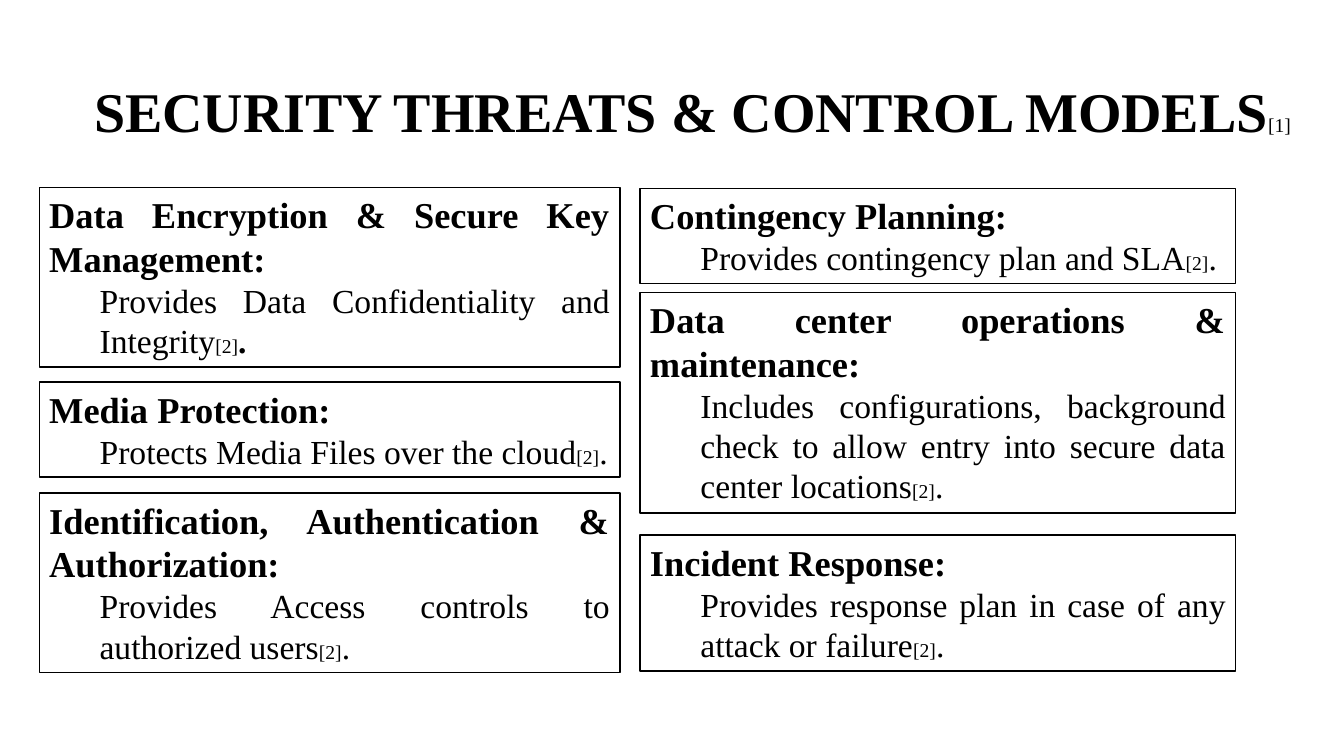
from dataclasses import dataclass

import pptx
import pptx.dml.color
import pptx.enum.shapes
import pptx.enum.text
import pptx.shapes.base
import pptx.slide
import pptx.text.text
import pptx.util

BLACK = pptx.dml.color.RGBColor(0x00, 0x00, 0x00)
WHITE = pptx.dml.color.RGBColor(0xFF, 0xFF, 0xFF)
FONT_NAME = "Times New Roman"
TITLE_SIZE, HEADING_SIZE, DETAIL_SIZE, CITATION_SIZE = 40, 26, 24, 14
DETAIL_INDENT = 36


@dataclass(frozen=True)
class Column:
    left: float
    width: float


@dataclass(frozen=True)
class Control:
    column: Column
    top: float
    height: float
    heading: str
    detail: str
    bold_stop: bool = False


LEFT = Column(28.1, 414.7)
RIGHT = Column(457.2, 425.5)

CONTROLS = [
    Control(LEFT, 133.9, 128.2, "Data Encryption & Secure Key Management:",
            "Provides Data Confidentiality and Integrity", bold_stop=True),
    Control(LEFT, 272.9, 67.9, "Media Protection:",
            "Protects Media Files over the cloud"),
    Control(LEFT, 352.1, 128.2, "Identification, Authentication & Authorization:",
            "Provides Access controls to authorized users"),
    Control(RIGHT, 134.6, 67.9, "Contingency Planning:",
            "Provides contingency plan and SLA"),
    Control(RIGHT, 208.8, 157.7, "Data center operations & maintenance:",
            "Includes configurations, background check to allow entry "
            "into secure data center locations"),
    Control(RIGHT, 382.3, 97.0, "Incident Response:",
            "Provides response plan in case of any attack or failure"),
]


def place(shape: pptx.shapes.base.BaseShape, left: float, top: float,
          width: float, height: float) -> None:
    shape.left, shape.top = pptx.util.Pt(left), pptx.util.Pt(top)
    shape.width, shape.height = pptx.util.Pt(width), pptx.util.Pt(height)


def format_paragraph(paragraph: pptx.text.text._Paragraph,
                     alignment: pptx.enum.text.PP_ALIGN) -> None:
    paragraph.alignment = alignment
    paragraph.font.name = FONT_NAME
    paragraph.font.color.rgb = BLACK


def add_run(paragraph: pptx.text.text._Paragraph, text: str, size: float,
            bold: bool = False) -> None:
    run = paragraph.add_run()
    run.text = text
    run.font.name = FONT_NAME
    run.font.color.rgb = BLACK
    run.font.size = pptx.util.Pt(size)
    run.font.bold = bold


def fill_title(slide: pptx.slide.Slide) -> None:
    title = slide.shapes.title
    place(title, 52.6, 29.5, 884.2, 104.4)
    title.text_frame.vertical_anchor = pptx.enum.text.MSO_ANCHOR.MIDDLE
    title.text_frame.auto_size = pptx.enum.text.MSO_AUTO_SIZE.NONE
    paragraph = title.text_frame.paragraphs[0]
    format_paragraph(paragraph, pptx.enum.text.PP_ALIGN.CENTER)
    paragraph.line_spacing = 0.9
    add_run(paragraph, "SECURITY THREATS & CONTROL MODELS", TITLE_SIZE, bold=True)
    add_run(paragraph, "[1]", CITATION_SIZE)


def add_control(slide: pptx.slide.Slide, control: Control) -> None:
    box = slide.shapes.add_shape(
        pptx.enum.shapes.MSO_SHAPE.RECTANGLE,
        pptx.util.Pt(control.column.left), pptx.util.Pt(control.top),
        pptx.util.Pt(control.column.width), pptx.util.Pt(control.height))
    box.shadow.inherit = False
    box.fill.solid()
    box.fill.fore_color.rgb = WHITE
    box.line.color.rgb = BLACK
    box.line.width = pptx.util.Pt(1)

    frame = box.text_frame
    frame.word_wrap = True
    frame.vertical_anchor = pptx.enum.text.MSO_ANCHOR.TOP
    frame.auto_size = pptx.enum.text.MSO_AUTO_SIZE.SHAPE_TO_FIT_TEXT

    heading = frame.paragraphs[0]
    format_paragraph(heading, pptx.enum.text.PP_ALIGN.JUSTIFY)
    add_run(heading, control.heading, HEADING_SIZE, bold=True)

    detail = frame.add_paragraph()
    format_paragraph(detail, pptx.enum.text.PP_ALIGN.JUSTIFY)
    detail.level = 1
    properties = detail._p.get_or_add_pPr()
    properties.set("marL", str(pptx.util.Pt(DETAIL_INDENT)))
    properties.set("indent", "0")
    add_run(detail, control.detail, DETAIL_SIZE)
    add_run(detail, "[2]", CITATION_SIZE)
    add_run(detail, ".", DETAIL_SIZE, bold=control.bold_stop)


def main() -> None:
    presentation = pptx.Presentation()
    presentation.slide_width = pptx.util.Pt(960)
    presentation.slide_height = pptx.util.Pt(540)
    title_only = presentation.slide_layouts.get_by_name("Title Only")
    slide = presentation.slides.add_slide(title_only)

    # Title
    fill_title(slide)

    # Two columns of control boxes
    for control in CONTROLS:
        add_control(slide, control)

    presentation.save("out.pptx")


if __name__ == "__main__":
    main()
